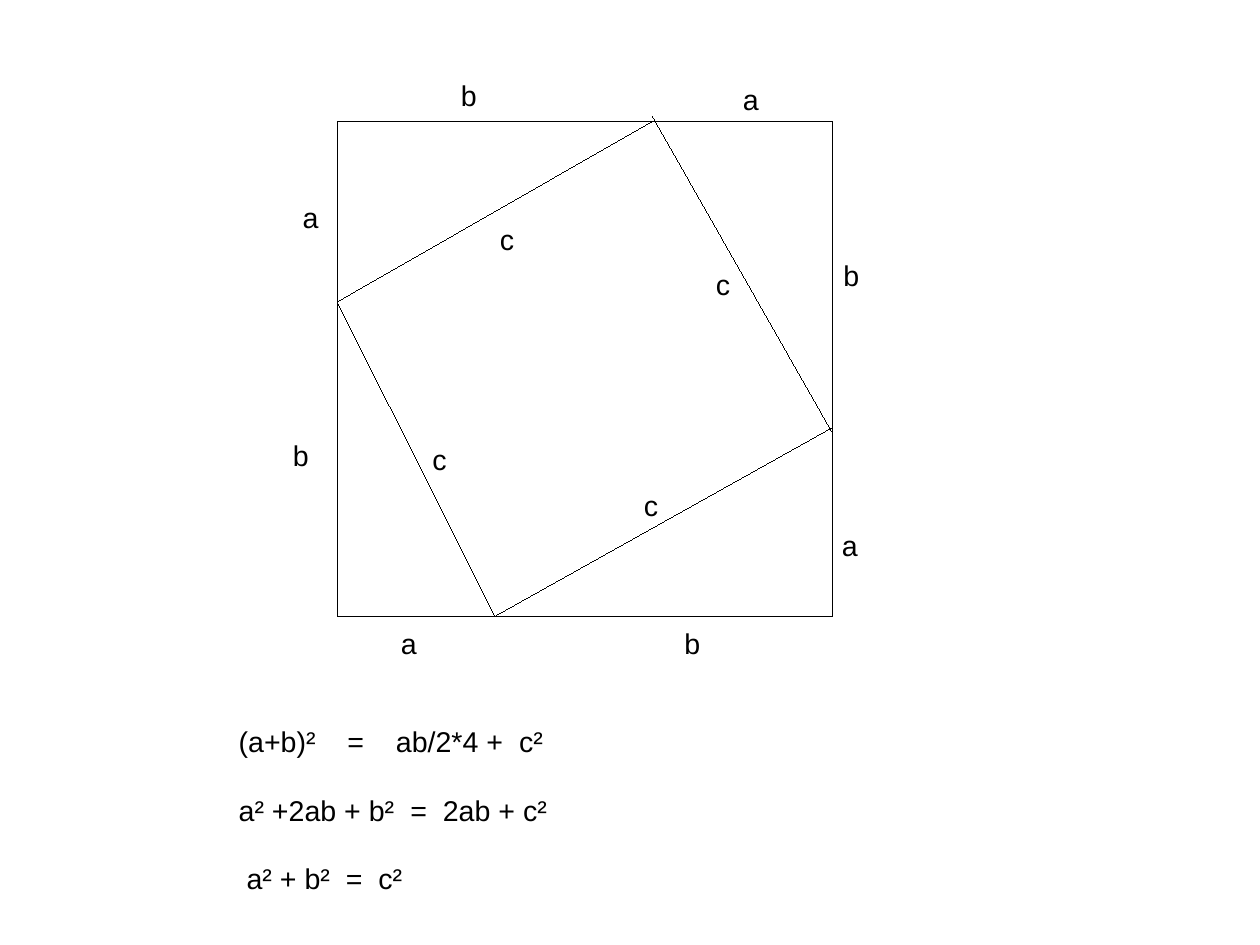
"""Draw the square-in-a-square proof of the Pythagorean theorem."""
from lxml import etree
from pptx import Presentation
from pptx.dml.color import RGBColor
from pptx.enum import shapes, text
from pptx.oxml import ns
from pptx.util import Pt

INK, PAPER = "000000", "FFFFFF"
FONT, SIZE, EQUATION_GAP = "Arial", 18, 21.6
LEFT, TOP, SIDE = 212.4, 76.3, 311.8
RIGHT, BOTTOM = LEFT + SIDE, TOP + SIDE

INNER_SIDES = [
    ((411.1, TOP), (LEFT, 190.1)),
    ((LEFT, 190.1), (311.8, BOTTOM)),
    ((311.8, BOTTOM), (RIGHT, 269.3)),
    ((411.1, 73.4), (RIGHT, 272.2)),
]
LABELS = {
    "a": [(183.6, 122.4), (460.8, 48.2), (523.2, 329), (245.5, 391)],
    "b": [(283.3, 45.4), (524.2, 158.8), (424.1, 391), (177.4, 272.2)],
    "c": [(307.8, 136.1), (443.8, 164.5), (398.5, 303.8), (265.3, 275)],
}
EQUATIONS = [
    ("(a+b)²\t=\tab/2*4 +\tc²", (68.5, 99, 176.6)),
    ("a² +2ab + b²\t=\t2ab + c²", (108.1, 128.6)),
    ("\ta² + b²\t=\tc²", (5, 67.5, 88)),
]


def color(value):
    """Turn a hex string into a colour."""
    return RGBColor.from_string(value)


def ink_line(shape):
    """Give a shape or connector a black hairline."""
    shape.line.color.rgb = color(INK)
    shape._element.spPr.get_or_add_ln().set("w", "0")


def add_square(page):
    """Add the outer square with side a + b."""
    square = page.shapes.add_shape(
        shapes.MSO_SHAPE.RECTANGLE, Pt(LEFT), Pt(TOP), Pt(SIDE), Pt(SIDE))
    square.shadow.inherit = False
    square.fill.solid()
    square.fill.fore_color.rgb = color(PAPER)
    ink_line(square)


def add_side(page, start, end):
    """Add one side of the inner square."""
    side = page.shapes.add_connector(
        shapes.MSO_CONNECTOR.STRAIGHT, *map(Pt, start + end))
    ink_line(side)
    etree.SubElement(side._element.spPr, ns.qn("a:effectLst"))


def add_box(page, left, top, width, height, wrap):
    """Add an empty text box and return its text frame."""
    frame = page.shapes.add_textbox(
        Pt(left), Pt(top), Pt(width), Pt(height)).text_frame
    frame.word_wrap = wrap
    frame.auto_size = text.MSO_AUTO_SIZE.SHAPE_TO_FIT_TEXT
    return frame


def add_span(para, words):
    """Add a run of black text to a paragraph."""
    span = para.add_run()
    span.text = words
    span.font.name = FONT
    span.font.size = Pt(SIZE)
    span.font.color.rgb = color(INK)


def add_tabs(para, stops):
    """Set the left tab stops of a paragraph."""
    tabs = etree.SubElement(para._p.get_or_add_pPr(), ns.qn("a:tabLst"))
    for stop in stops:
        etree.SubElement(tabs, ns.qn("a:tab"), pos=str(Pt(stop)), algn="l")


def add_equations(page):
    """Add the three steps of the proof."""
    frame = add_box(page, 143.3, 452.6, 213.8, 108, True)
    for index, (words, stops) in enumerate(EQUATIONS):
        para = frame.add_paragraph() if index else frame.paragraphs[0]
        add_tabs(para, stops)
        if index:
            para.space_before = Pt(EQUATION_GAP)
        add_span(para, words)


def main():
    """Build the slide and save the deck."""
    deck = Presentation()
    deck.slide_width, deck.slide_height = Pt(793.7), Pt(595.28)
    page = deck.slides.add_slide(deck.slide_layouts[6])
    add_square(page)
    for start, end in INNER_SIDES:
        add_side(page, start, end)
    for letter, places in LABELS.items():
        for left, top in places:
            frame = add_box(page, left, top, 24.4, 27.4, False)
            add_span(frame.paragraphs[0], letter)
    add_equations(page)
    deck.save("out.pptx")


if __name__ == "__main__":
    main()
